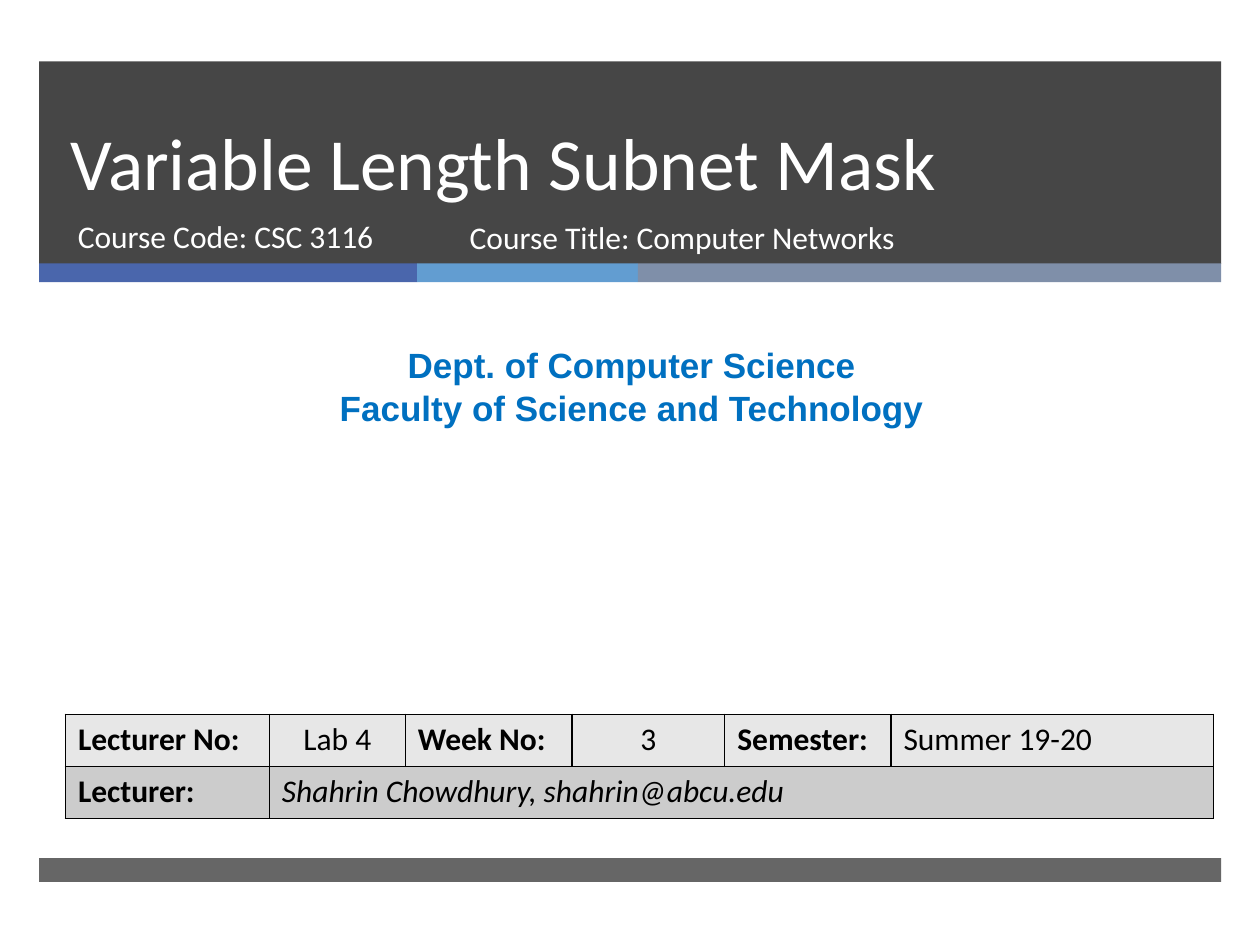
from lxml.etree import SubElement
from pptx import Presentation
from pptx.dml.color import RGBColor
from pptx.enum.shapes import MSO_SHAPE
from pptx.enum.text import MSO_ANCHOR, PP_ALIGN
from pptx.oxml.ns import qn
from pptx.util import Cm, Pt

COLORS = {
    "dark": "262626", "blue": "4A66AC", "sky": "629DD1", "slate": "7F8FA9",
    "dept": "0070C0", "white": "FFFFFF", "black": "000000",
    "row_light": "E7E7E7", "row_dark": "CCCCCC",
}


def rgb(name):
    return RGBColor.from_string(COLORS[name])


class SlideBuilder:
    body_font = "Calibri"
    body_size = 18

    def __init__(self, slide):
        self.slide = slide

    def bar(self, left, top, width, height, color, opacity=100):
        bar = self.slide.shapes.add_shape(
            MSO_SHAPE.RECTANGLE, Cm(left), Cm(top), Cm(width), Cm(height))
        bar.shadow.inherit = False
        bar.line.fill.background()
        bar.fill.solid()
        bar.fill.fore_color.rgb = rgb(color)
        if opacity < 100:
            srgb = bar._element.spPr.find(qn("a:solidFill")).find(qn("a:srgbClr"))
            SubElement(srgb, qn("a:alpha"), val=str(opacity * 1000))

    def add_text_run(self, paragraph, text, color, size=None, font=None,
                     bold=False, italic=False, align=PP_ALIGN.LEFT):
        paragraph.alignment = align
        run = paragraph.add_run()
        run.text = text
        run.font.name = font or self.body_font
        run.font.size = Pt(size or self.body_size)
        run.font.bold = bold
        run.font.italic = italic
        run.font.color.rgb = rgb(color)

    def text(self, left, top, width, height, lines, color,
             anchor=MSO_ANCHOR.TOP, line_spacing=None, **style):
        frame = self.slide.shapes.add_textbox(
            Cm(left), Cm(top), Cm(width), Cm(height)).text_frame
        frame.word_wrap = True
        frame.vertical_anchor = anchor
        for index, line in enumerate(lines):
            paragraph = frame.add_paragraph() if index else frame.paragraphs[0]
            if line_spacing:
                paragraph.line_spacing = Pt(line_spacing)
            self.add_text_run(paragraph, line, color, **style)

    def border(self, cell):
        """Draw a 1 pt black line on all four sides of a cell."""
        properties = cell._tc.get_or_add_tcPr()
        for position, side in enumerate(("lnL", "lnR", "lnT", "lnB")):
            line = properties.makeelement(qn(f"a:{side}"), {"w": str(Pt(1))})
            fill = SubElement(line, qn("a:solidFill"))
            SubElement(fill, qn("a:srgbClr"), val=COLORS["black"])
            properties.insert(position, line)

    def table(self, left, top, widths, row_height, rows, fills):
        """Fill a table from (text, style) cells; a short row's last cell spans the rest."""
        table = self.slide.shapes.add_table(
            len(rows), len(widths), Cm(left), Cm(top),
            Cm(sum(widths)), Cm(row_height * len(rows))).table
        for column, width in zip(table.columns, widths):
            column.width = Cm(width)
        for r, (row, fill) in enumerate(zip(rows, fills)):
            table.rows[r].height = Cm(row_height)
            for c in range(len(widths)):
                cell = table.cell(r, c)
                cell.fill.solid()
                cell.fill.fore_color.rgb = rgb(fill)
                self.border(cell)
            for c, (text, style) in enumerate(row):
                self.add_text_run(table.cell(r, c).text_frame.paragraphs[0],
                                  text, "black", **style)
            if len(row) < len(widths):
                table.cell(r, len(row) - 1).merge(table.cell(r, len(widths) - 1))


def main():
    deck = Presentation()
    deck.slide_width, deck.slide_height = Cm(25.4), Cm(19.05)
    builder = SlideBuilder(deck.slides.add_slide(deck.slide_layouts[6]))

    margin, band_width = 0.79, 23.83
    builder.bar(margin, 1.24, band_width, 4.08, "dark", opacity=85)
    stripe_left = margin
    for width, color in ((7.62, "blue"), (4.45, "sky"), (11.76, "slate")):
        builder.bar(stripe_left, 5.31, width, 0.38, color)
        stripe_left += width
    builder.bar(margin, 17.3, band_width, 0.48, "dark", opacity=70)

    builder.text(1.17, 1.24, 21.69, 3.02, ["Variable Length Subnet Mask"], "white",
                 anchor=MSO_ANCHOR.BOTTOM, line_spacing=46, size=42)
    builder.text(1.32, 4.26, 7.75, 1.35, ["Course Code: CSC 3116"], "white")
    builder.text(0.2, 6.81, 25.07, 1.96,
                 ["Dept. of Computer Science", "Faculty of Science and Technology"],
                 "dept", size=20, font="Arial", bold=True, align=PP_ALIGN.CENTER)
    builder.text(9.22, 4.28, 11.56, 1.35, ["Course Title: Computer Networks"], "white")

    label, value = {"bold": True}, {"align": PP_ALIGN.CENTER}
    builder.table(
        1.32, 14.4, [4.11, 2.74, 3.36, 3.08, 3.35, 6.5], 1.05,
        [[("Lecturer No:", label), ("Lab 4", value), ("Week No:", label),
          ("3", value), ("Semester:", label), ("Summer 19-20", {})],
         [("Lecturer:", label),
          ("Shahrin Chowdhury, shahrin@abcu.edu", {"italic": True})]],
        ["row_light", "row_dark"])

    deck.save("out.pptx")


if __name__ == "__main__":
    main()
